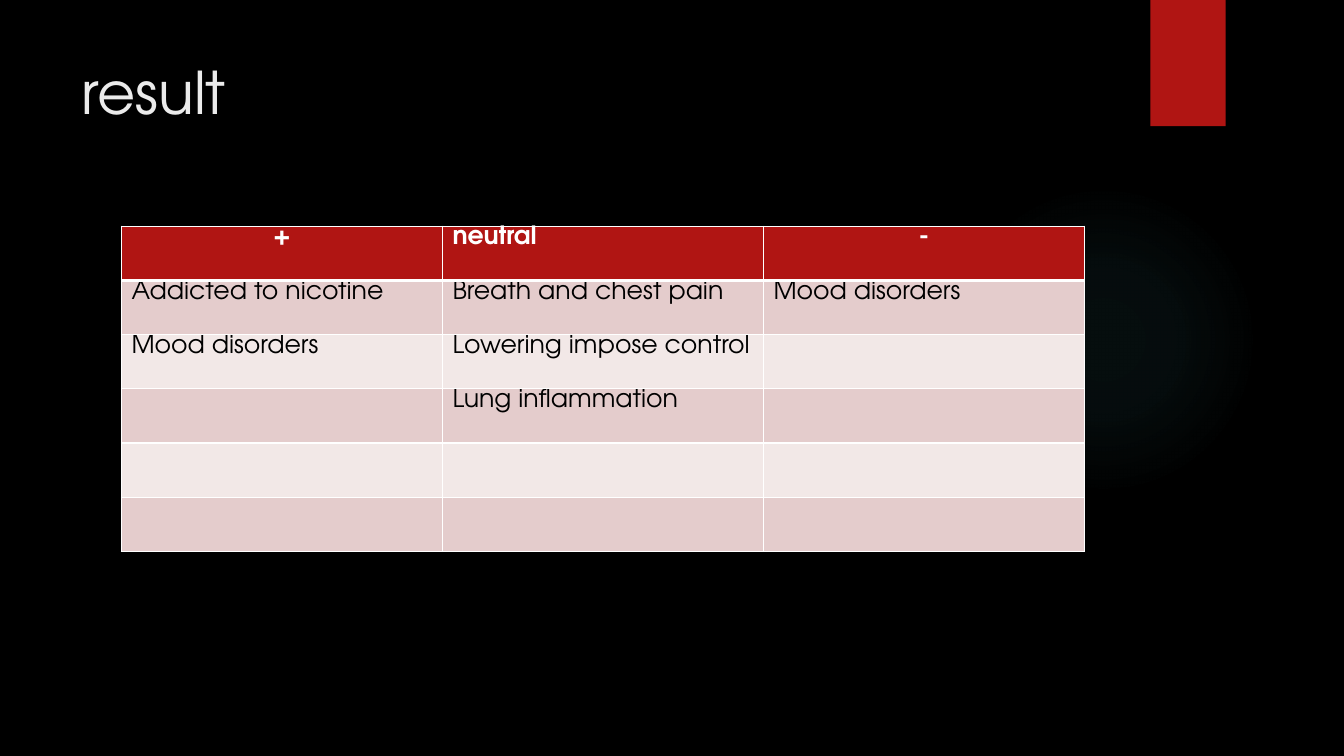
from dataclasses import dataclass

from lxml.etree import SubElement as Sub
from pptx import Presentation
from pptx.dml.color import RGBColor as Rgb
from pptx.enum.shapes import MSO_SHAPE as Kind
from pptx.enum.text import MSO_ANCHOR as Anchor, MSO_AUTO_SIZE as Auto, PP_ALIGN as Align
from pptx.oxml import parse_xml
from pptx.oxml.ns import nsdecls, qn
from pptx.util import Cm, Pt

FONT = "TeX Gyre Adventor"
HUES = {
    "back": "000000", "title": "EBEBEB", "red": "B01513", "white": "FFFFFF",
    "ink": "000000", "dark": "E4CCCC", "light": "F2E8E7", "glow": "50B9C1",
}
ROWS = [
    ("+", "neutral", "-"),
    ("Addicted to nicotine", "Breath and chest pain", "Mood disorders"),
    ("Mood disorders", "Lowering impose control", ""),
    ("", "Lung inflammation", ""),
    ("", "", ""),
    ("", "", ""),
]
GLOW = [(0, 7), (36, 6), (69, 0), (100, 0)]  # position and opacity, percent


@dataclass
class Box:
    left: float
    top: float
    width: float
    height: float

    def area(self) -> tuple:
        return Cm(self.left), Cm(self.top), Cm(self.width), Cm(self.height)


@dataclass
class Look:
    fill: str
    ink: str
    bold: bool


def hue(name: str) -> Rgb:
    return Rgb.from_string(HUES[name])


def style(para, size: float, ink: str, bold: bool = False) -> None:
    for item in (para, *para.runs):
        font = item.font
        font.name, font.size, font.bold = FONT, Pt(size), bold
        font.color.rgb = hue(ink)


def draw(slide, kind, box: Box, fill: str):
    shape = slide.shapes.add_shape(kind, *box.area())
    shape.shadow.inherit = False
    shape.fill.solid()
    shape.fill.fore_color.rgb = hue(fill)
    shape.line.fill.background()
    return shape


def shine(shape) -> None:
    stops = "".join(
        f'<a:gs pos="{pos * 1000}"><a:srgbClr val="{HUES["glow"]}">'
        f'<a:alpha val="{alpha * 1000}"/></a:srgbClr></a:gs>'
        for pos, alpha in GLOW)
    grad = parse_xml(
        f'<a:gradFill {nsdecls("a")} rotWithShape="1"><a:gsLst>{stops}</a:gsLst>'
        '<a:path path="circle"><a:fillToRect l="50000" t="50000" r="50000" b="50000"/>'
        '</a:path></a:gradFill>')
    solid = shape.element.spPr.find(qn("a:solidFill"))
    solid.getparent().replace(solid, grad)


def shade(shape) -> None:
    effect = shape.element.spPr.find(qn("a:effectLst"))
    outer = Sub(effect, qn("a:outerShdw"), blurRad=str(Pt(3)), dist=str(Pt(2)),
                dir="5400000", rotWithShape="0")
    tone = Sub(outer, qn("a:srgbClr"), val=HUES["ink"])
    Sub(tone, qn("a:alpha"), val="45000")


def edge(cell, base: float, roof: float) -> None:
    props = cell._tc.get_or_add_tcPr()
    sides = {"lnL": 1, "lnR": 1, "lnT": roof, "lnB": base}
    for spot, (side, width) in enumerate(sides.items()):
        line = parse_xml(
            f'<a:{side} {nsdecls("a")} w="{Pt(width)}"><a:solidFill>'
            f'<a:srgbClr val="{HUES["white"]}"/></a:solidFill></a:{side}>')
        props.insert(spot, line)


def fill_cell(cell, text: str, look: Look, center: bool) -> None:
    cell.margin_top = cell.margin_bottom = 0
    cell.vertical_anchor = Anchor.TOP
    cell.fill.solid()
    cell.fill.fore_color.rgb = hue(look.fill)
    cell.text_frame.text = text
    para = cell.text_frame.paragraphs[0]
    para.alignment = Align.CENTER if center else Align.LEFT
    style(para, 18, look.ink, look.bold)


def add_grid(slide, box: Box) -> None:
    grid = slide.shapes.add_table(len(ROWS), len(ROWS[0]), *box.area()).table
    grid.first_row = grid.horz_banding = False
    head = Look("red", "white", True)
    bands = [Look("light", "ink", False), Look("dark", "ink", False)]
    for row, texts in enumerate(ROWS):
        look = bands[row % 2] if row else head
        for col, text in enumerate(texts):
            cell = grid.cell(row, col)
            fill_cell(cell, text, look, row == 0 and col != 1)
            edge(cell, base=1 if row else 3, roof=3 if row == 1 else 1)


def add_title(slide, box: Box) -> None:
    title = slide.shapes.title
    title.left, title.top, title.width, title.height = box.area()
    frame = title.text_frame
    frame.text = "result"
    frame.word_wrap, frame.auto_size = True, Auto.NONE
    frame.vertical_anchor = Anchor.TOP
    para = frame.paragraphs[0]
    para.alignment = Align.LEFT
    style(para, 42, "title")


def main() -> None:
    deck = Presentation()
    deck.slide_width, deck.slide_height = Cm(33.87), Cm(19.05)
    slide = deck.slides.add_slide(deck.slide_layouts[5])
    slide.background.fill.solid()
    slide.background.fill.fore_color.rgb = hue("back")

    # Backdrop: soft glow and red tab
    shine(draw(slide, Kind.OVAL, Box(23.9, 4.65, 7.82, 7.82), "glow"))
    shade(draw(slide, Kind.RECTANGLE, Box(28.99, 0, 1.9, 3.18), "red"))

    # Title and table
    add_title(slide, Box(1.8, 1.27, 26.14, 3.89))
    add_grid(slide, Box(3.06, 5.7, 24.27, 8.2))
    deck.save("out.pptx")


if __name__ == "__main__":
    main()
